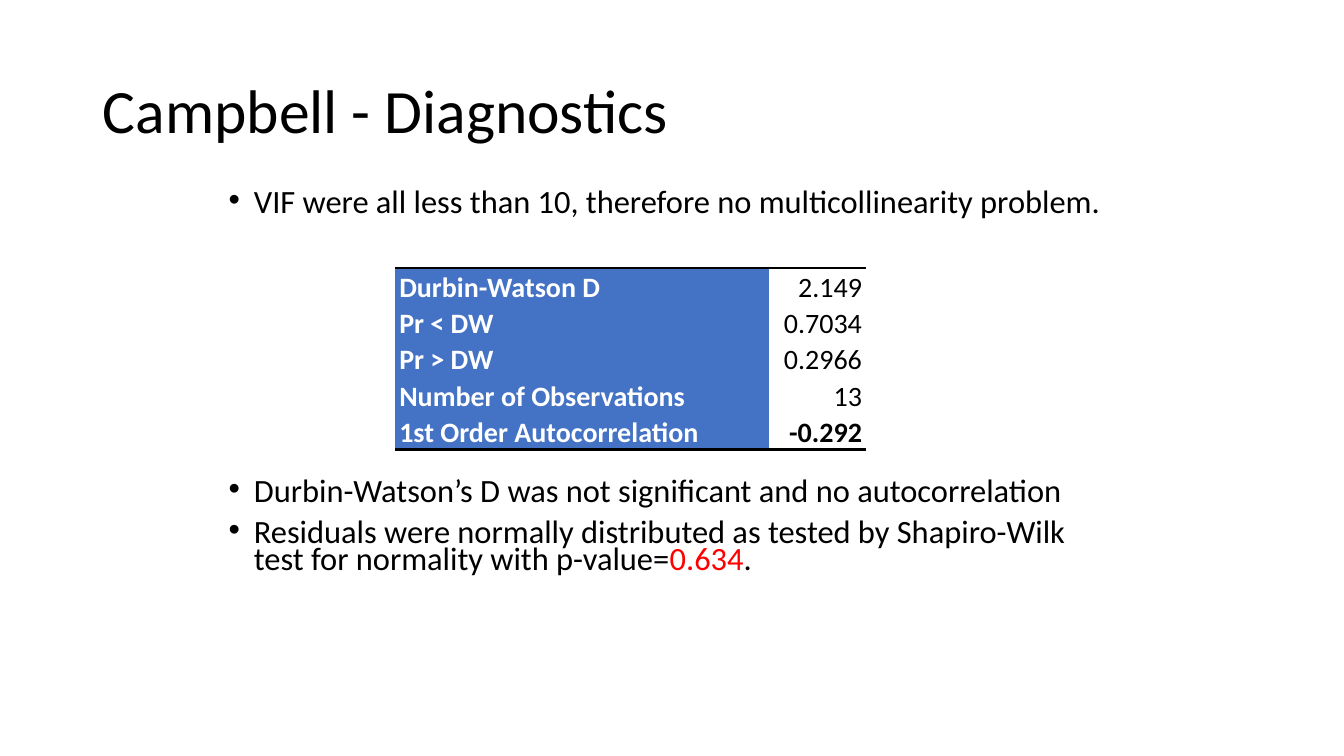
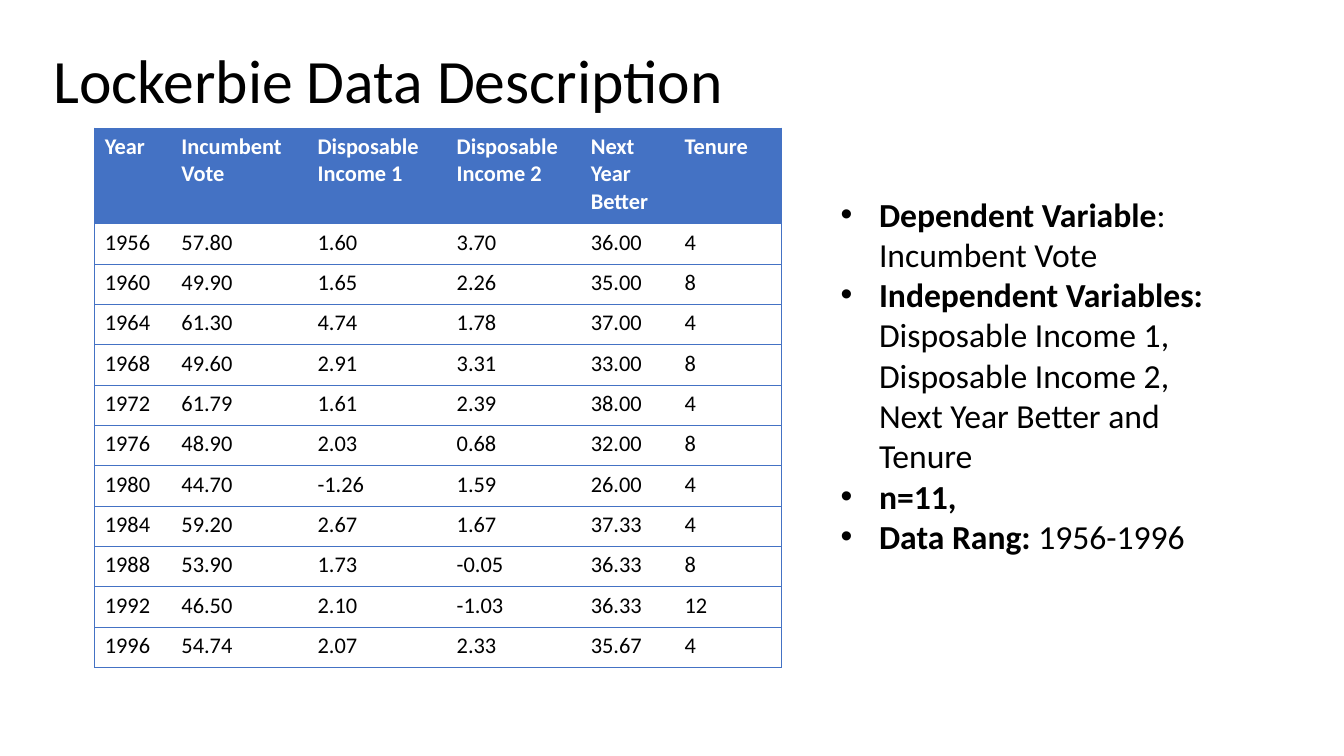
from lxml import etree
from pptx import Presentation
from pptx.dml.color import RGBColor
from pptx.enum import text
from pptx.oxml import ns
from pptx.util import Inches, Pt

FONT = "Calibri"
BLACK = RGBColor(0x00, 0x00, 0x00)
WHITE = RGBColor(0xFF, 0xFF, 0xFF)
BLUE = RGBColor(0x44, 0x72, 0xC4)
RED = RGBColor(0xFF, 0x00, 0x00)

DIAGNOSTICS = [
    ("Durbin-Watson D", "2.149"),
    ("Pr < DW", "0.7034"),
    ("Pr > DW", "0.2966"),
    ("Number of Observations", "13"),
    ("1st Order Autocorrelation", "-0.292"),
]
ELECTIONS = [
    ("Year", "Incumbent Vote", "Disposable Income 1", "Disposable Income 2",
     "Next Year Better", "Tenure"),
    ("1956", "57.80", "1.60", "3.70", "36.00", "4"),
    ("1960", "49.90", "1.65", "2.26", "35.00", "8"),
    ("1964", "61.30", "4.74", "1.78", "37.00", "4"),
    ("1968", "49.60", "2.91", "3.31", "33.00", "8"),
    ("1972", "61.79", "1.61", "2.39", "38.00", "4"),
    ("1976", "48.90", "2.03", "0.68", "32.00", "8"),
    ("1980", "44.70", "-1.26", "1.59", "26.00", "4"),
    ("1984", "59.20", "2.67", "1.67", "37.33", "4"),
    ("1988", "53.90", "1.73", "-0.05", "36.33", "8"),
    ("1992", "46.50", "2.10", "-1.03", "36.33", "12"),
    ("1996", "54.74", "2.07", "2.33", "35.67", "4"),
]


def set_font(font, size, color=BLACK, bold=False):
    font.name = FONT
    font.size = Pt(size)
    font.color.rgb = color
    font.bold = bold


def add_titled_slide(presentation, title, left, top):
    slide = presentation.slides.add_slide(presentation.slide_layouts[5])
    shape = slide.shapes.title
    shape.left, shape.top = Inches(left), Inches(top)
    shape.width, shape.height = Inches(11.5), Inches(1.45)
    frame = shape.text_frame
    frame.text = title
    frame.vertical_anchor = text.MSO_ANCHOR.MIDDLE
    paragraph = frame.paragraphs[0]
    paragraph.alignment = text.PP_ALIGN.LEFT
    paragraph.line_spacing = 0.9
    set_font(paragraph.font, 44)
    return slide


def add_bullet_list(slide, box, items, size, indent, line_spacing=1.0, gaps=None):
    """Each item is a list of (text, format) runs; gaps are points before each item."""
    frame = slide.shapes.add_textbox(*map(Inches, box)).text_frame
    frame.word_wrap = True
    for index, runs in enumerate(items):
        paragraph = frame.paragraphs[0] if index == 0 else frame.add_paragraph()
        properties = paragraph._p.get_or_add_pPr()
        properties.set("marL", str(Inches(indent)))
        properties.set("indent", str(-Inches(indent)))
        etree.SubElement(properties, ns.qn("a:buFont"), typeface="Arial")
        etree.SubElement(properties, ns.qn("a:buChar"), char="•")
        paragraph.line_spacing = line_spacing
        paragraph.space_before = Pt(gaps[index] if gaps else 0)
        set_font(paragraph.font, size)
        for words, style in runs:
            run = paragraph.add_run()
            run.text = words
            if "color" in style:
                run.font.color.rgb = style["color"]
            if "bold" in style:
                run.font.bold = style["bold"]


def set_borders(cell, sides, color, width):
    """Draw the named sides (of L, R, T, B) and clear the others."""
    properties = cell._tc.get_or_add_tcPr()
    for side in "LRTB":
        line = etree.SubElement(properties, ns.qn(f"a:ln{side}"), w=str(Pt(width)))
        if side in sides:
            fill = etree.SubElement(line, ns.qn("a:solidFill"))
            etree.SubElement(fill, ns.qn("a:srgbClr"), val=str(color))
        else:
            etree.SubElement(line, ns.qn("a:noFill"))


def add_plain_table(slide, left, top, widths, heights, rows):
    """Add an unbanded table and return its cells as (row, column, cell)."""
    table = slide.shapes.add_table(
        len(rows), len(widths), Inches(left), Inches(top),
        Inches(sum(widths)), Inches(sum(heights))).table
    table.first_row = table.horz_banding = False
    for column, width in zip(table.columns, widths):
        column.width = Inches(width)
    for row, height in zip(table.rows, heights):
        row.height = Inches(height)
    cells = []
    for r, values in enumerate(rows):
        for c, value in enumerate(values):
            cell = table.cell(r, c)
            cell.text = value
            cells.append((r, c, cell))
    return cells


def format_cell(cell, fill, size, color, bold):
    cell.fill.solid()
    cell.fill.fore_color.rgb = fill
    set_font(cell.text_frame.paragraphs[0].font, size, color, bold)


def add_diagnostics_table(slide):
    last = len(DIAGNOSTICS) - 1
    cells = add_plain_table(slide, 3.92, 2.66, [3.71, 0.96],
                            [0.36] * len(DIAGNOSTICS), DIAGNOSTICS)
    for r, c, cell in cells:
        is_label = c == 0
        cell.margin_left = cell.margin_right = Inches(0.04)
        cell.margin_top = cell.margin_bottom = 0
        set_borders(cell, {0: "T", last: "B"}.get(r, ""), BLACK, 2)
        format_cell(cell, BLUE if is_label else WHITE, 20,
                    WHITE if is_label else BLACK, is_label or r == last)
        paragraph = cell.text_frame.paragraphs[0]
        paragraph.line_spacing = 1.07
        paragraph.alignment = text.PP_ALIGN.LEFT if is_label else text.PP_ALIGN.RIGHT


def add_elections_table(slide):
    widths = [0.76, 1.35, 1.38, 1.33, 0.93, 1.06]
    heights = [0.95] + [0.4] * (len(ELECTIONS) - 1)
    for r, c, cell in add_plain_table(slide, 0.94, 1.27, widths, heights, ELECTIONS):
        is_header = r == 0
        outer = {0: "L", len(widths) - 1: "R"}.get(c, "")
        set_borders(cell, "TB" + outer, BLUE, 0.5)
        format_cell(cell, BLUE if is_header else WHITE, 16,
                    WHITE if is_header else BLACK, is_header)


def build_diagnostics_slide(presentation):
    slide = add_titled_slide(presentation, "Campbell - Diagnostics", 0.92, 0.4)
    findings = [
        [("VIF were all less than 10, therefore no multicollinearity problem.", {})],
        [("Durbin-Watson’s D was not significant and no autocorrelation", {})],
        [("Residuals were normally distributed as tested by Shapiro-Wilk test "
          "for normality with p-value=", {}), ("0.634", {"color": RED}), (".", {})],
    ]
    add_bullet_list(slide, (2.17, 1.85, 9, 4.28), findings, 23.2, 0.25,
                    line_spacing=0.7, gaps=[0, 187, 10])
    add_diagnostics_table(slide)


def build_data_slide(presentation):
    slide = add_titled_slide(presentation, "Lockerbie Data Description", 0.43, 0.1)
    add_elections_table(slide)
    bold = {"bold": True}
    variables = [
        [("Dependent Variable", bold), (": Incumbent Vote", {})],
        [("Independent Variables: ", bold),
         ("Disposable Income 1, Disposable Income 2, Next Year Better and Tenure", {})],
        [("n=11,", bold)],
        [("Data Rang:", bold), (" 1956-1996", {})],
    ]
    add_bullet_list(slide, (8.24, 1.87, 4.08, 4.54), variables, 24, 0.38)


def main():
    presentation = Presentation()
    presentation.slide_width = Inches(13.33)
    presentation.slide_height = Inches(7.5)
    build_diagnostics_slide(presentation)
    build_data_slide(presentation)
    presentation.save("out.pptx")


if __name__ == "__main__":
    main()
